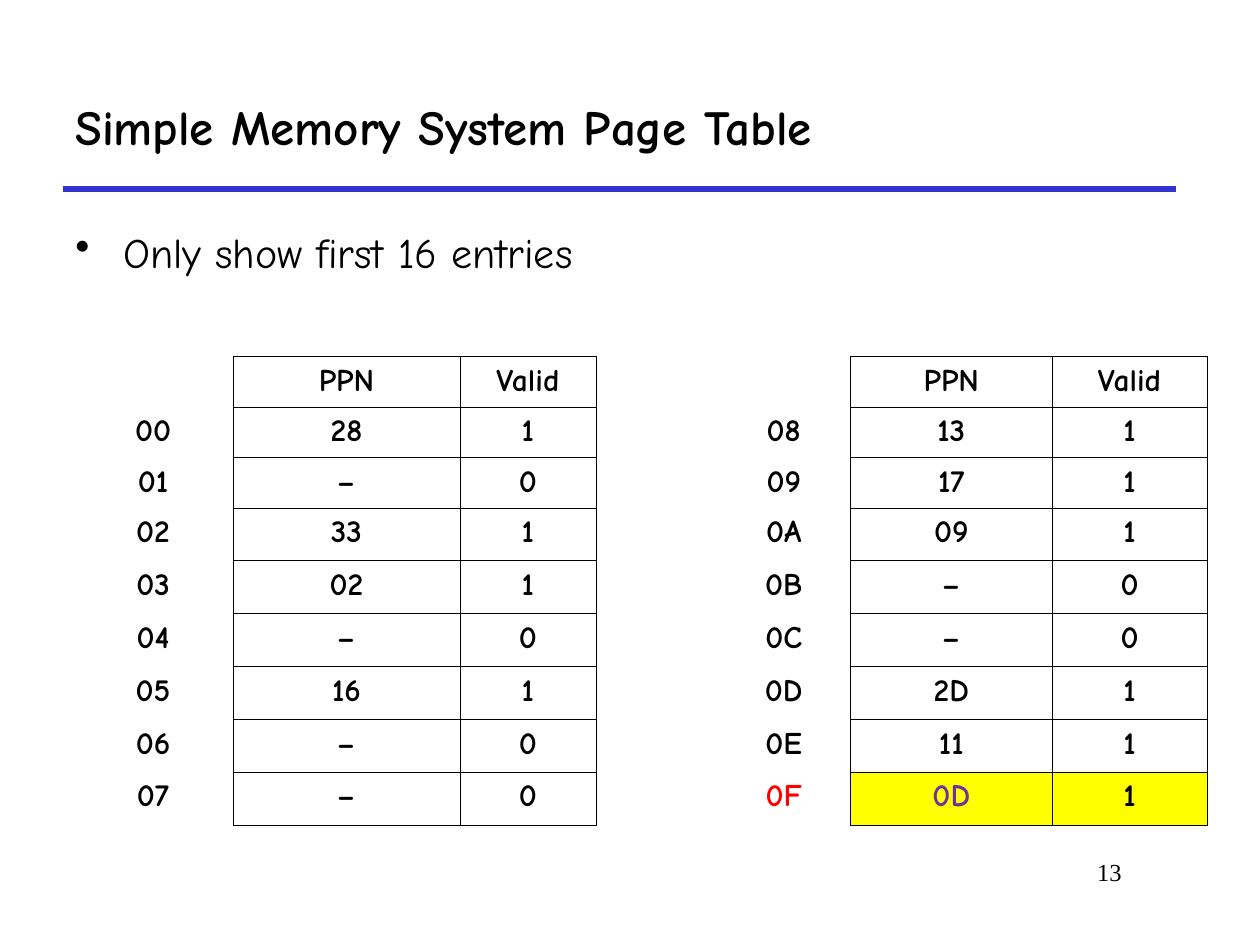
from lxml.etree import SubElement
from pptx import Presentation
from pptx.dml.color import RGBColor
from pptx.enum.shapes import MSO_CONNECTOR
from pptx.enum.text import MSO_ANCHOR as Anchor, PP_ALIGN as Align
from pptx.oxml.ns import qn
from pptx.util import Inches, Pt

TITLE = "Simple Memory System Page Table"
NOTE = "Only show first 16 entries"
PAGE_NUMBER = "13"
HEADINGS = ("", "PPN", "Valid")
ENTRIES = [  # (physical page number, valid bit), indexed by virtual page number
    ("28", 1), ("–", 0), ("33", 1), ("02", 1), ("–", 0), ("16", 1), ("–", 0), ("–", 0),
    ("13", 1), ("17", 1), ("09", 1), ("–", 0), ("–", 0), ("2D", 1), ("11", 1), ("0D", 1),
]
HIGHLIGHTED = "0F"
HALF = len(ENTRIES) // 2

THEME = {
    "font": "Comic Neue", "number_font": "Times New Roman",
    "text": "000000", "rule": "3333CC", "border": "000000",
    "highlight": "FFFF00", "highlight_text": ("FF0000", "7030A0", "000000"),
    "title_size": 28, "body_size": 24, "cell_size": 18, "number_size": 14,
    "rule_width": 3, "border_width": 0.45,
}

SLIDE_W, SLIDE_H = 10, 7.5
MARGIN, CONTENT_W = 0.5, 8.83
RULE_Y = SLIDE_H / 5
TABLE_TOP = 2.83
TABLES = [  # left edge, column widths
    (0.58, (1.27, 1.8, 1.08)),
    (5.69, (1.06, 1.6, 1.23)),
]
ROW_HEIGHTS = [0.4] * 3 + [0.42] * 6


def style_text(paragraph, size, color=THEME["text"], font=THEME["font"], bold=False):
    for run in paragraph.runs:
        run.font.name, run.font.size, run.font.bold = font, Pt(size), bold
        run.font.color.rgb = RGBColor.from_string(color)


def add_text(slide, text, box, size, align=Align.LEFT, anchor=Anchor.TOP, **style):
    frame = slide.shapes.add_textbox(*map(Inches, box)).text_frame
    frame.word_wrap = True
    frame.vertical_anchor = anchor
    frame.text = text
    paragraph = frame.paragraphs[0]
    paragraph.alignment = align
    style_text(paragraph, size, **style)
    return paragraph


def add_bullet(paragraph, indent):
    props = paragraph._p.get_or_add_pPr()
    props.set("marL", str(Inches(indent)))
    props.set("indent", str(-Inches(indent)))
    SubElement(props, qn("a:buChar"), char="•")


def set_borders(cell, visible_sides):
    props = cell._tc.get_or_add_tcPr()
    for position, side in enumerate("LRTB"):
        line = SubElement(props, qn(f"a:ln{side}"), w=str(Pt(THEME["border_width"])))
        if side in visible_sides:
            fill = SubElement(line, qn("a:solidFill"))
            SubElement(fill, qn("a:srgbClr"), val=THEME["border"])
        else:
            SubElement(line, qn("a:noFill"))
        props.insert(position, line)  # borders precede the fill


def add_page_table(slide, left, widths, rows):
    table = slide.shapes.add_table(
        len(rows), len(widths), Inches(left), Inches(TABLE_TOP),
        Inches(sum(widths)), Inches(sum(ROW_HEIGHTS))).table
    table.first_row = table.horz_banding = False
    for column, width in zip(table.columns, widths):
        column.width = Inches(width)
    for row, height in zip(table.rows, ROW_HEIGHTS):
        row.height = Inches(height)
    for r, values in enumerate(rows):
        highlighted = values[0] == HIGHLIGHTED
        for c, value in enumerate(values):
            cell = table.cell(r, c)
            cell.text = value
            paragraph = cell.text_frame.paragraphs[0]
            paragraph.alignment = Align.CENTER
            paragraph.space_before = Pt(4.5)
            color = THEME["highlight_text"][c] if highlighted else THEME["text"]
            style_text(paragraph, THEME["cell_size"], color, bold=True)
            if highlighted and c > 0:
                cell.fill.solid()
                cell.fill.fore_color.rgb = RGBColor.from_string(THEME["highlight"])
            else:
                cell.fill.background()
            set_borders(cell, "LRTB" if c > 0 else "R")


def main():
    deck = Presentation()
    deck.slide_width, deck.slide_height = Inches(SLIDE_W), Inches(SLIDE_H)
    slide = deck.slides.add_slide(deck.slide_layouts[6])

    rule = slide.shapes.add_connector(
        MSO_CONNECTOR.STRAIGHT, Inches(MARGIN), Inches(RULE_Y),
        Inches(MARGIN + CONTENT_W), Inches(RULE_Y))
    rule.line.color.rgb = RGBColor.from_string(THEME["rule"])
    rule.line.width = Pt(THEME["rule_width"])
    SubElement(rule._element.spPr, qn("a:effectLst"))

    add_text(slide, PAGE_NUMBER, (7.58, 6.75, 1.42, 0.5), THEME["number_size"],
             align=Align.RIGHT, font=THEME["number_font"])
    add_text(slide, TITLE, (MARGIN, 0.5, CONTENT_W, 1), THEME["title_size"],
             anchor=Anchor.MIDDLE, bold=True)
    note = add_text(slide, NOTE, (MARGIN, 1.75, 8.25, 0.58), THEME["body_size"])
    note.space_before = Pt(6)
    add_bullet(note, 0.38)

    rows = [(f"{index:02X}", ppn, str(valid)) for index, (ppn, valid) in enumerate(ENTRIES)]
    for half, (left, widths) in enumerate(TABLES):
        add_page_table(slide, left, widths, [HEADINGS] + rows[half * HALF:(half + 1) * HALF])

    deck.save("out.pptx")


if __name__ == "__main__":
    main()
